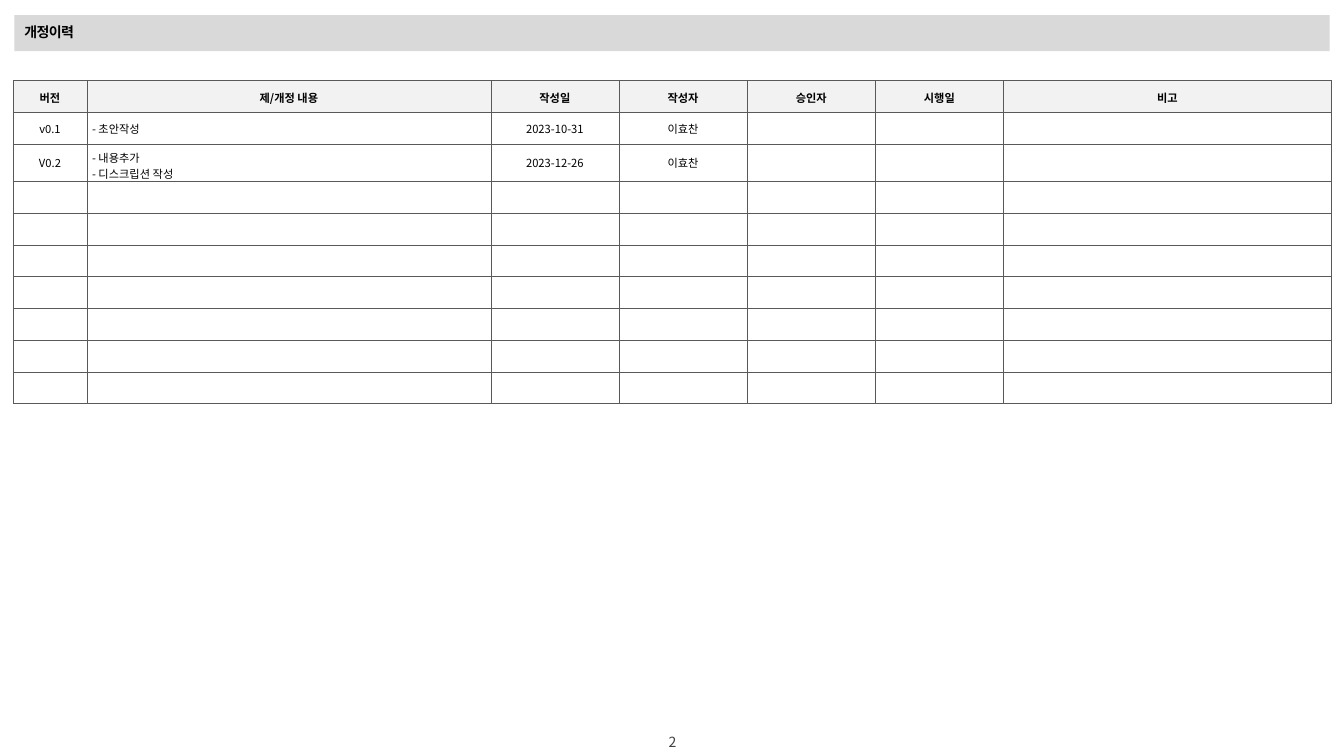
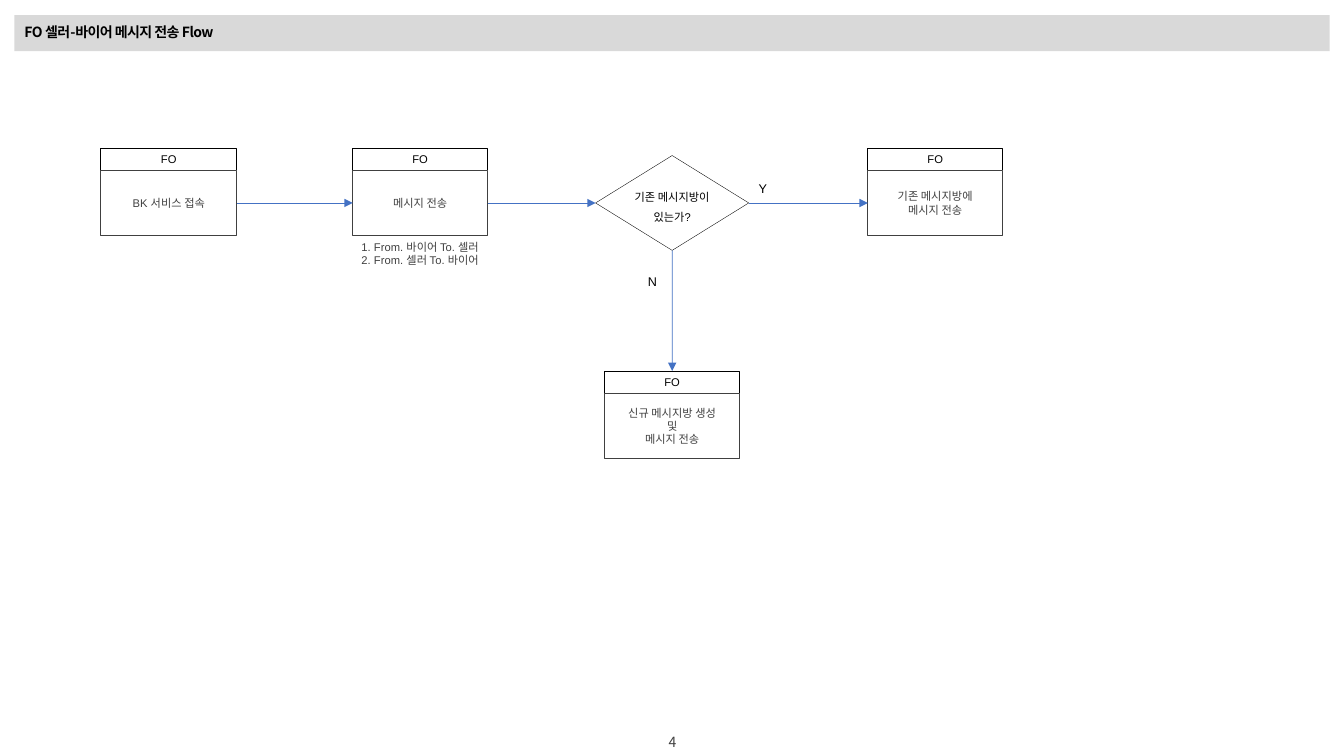
from lxml.etree import SubElement
from pptx import Presentation
from pptx.dml.color import RGBColor
from pptx.enum.dml import MSO_LINE
from pptx.enum.shapes import MSO_CONNECTOR, MSO_SHAPE
from pptx.enum.text import MSO_ANCHOR, MSO_AUTO_SIZE, PP_ALIGN
from pptx.oxml.ns import qn
from pptx.util import Cm, Pt

HUES = {"ink": "000000", "text": "404040", "band": "D9D9D9", "head": "F2F2F2",
        "paper": "FFFFFF", "grid": "595959", "flow": "4472C4"}
NOTO, ARIAL = "Noto Sans CJK KR", "Arial"
MID = {"alignment": PP_ALIGN.CENTER}
FLUSH = dict.fromkeys(("margin_left", "margin_right", "margin_top", "margin_bottom"), 0)
PAD = dict.fromkeys(FLUSH, Cm(0.13))
FIT = {"auto_size": MSO_AUTO_SIZE.SHAPE_TO_FIT_TEXT}
LOOSE = {"line_spacing": 1.5}


def style(item, form):
    """Set each attribute of the item from the format dict."""
    for name, value in form.items():
        setattr(item, name, value)


def hue(name):
    """Return the named colour."""
    return RGBColor.from_string(HUES[name])


def paint(shape, fill=None, line=None, width=0.5):
    """Fill and outline a shape without a shadow."""
    shape.shadow.inherit = False
    if fill:
        shape.fill.solid()
        shape.fill.fore_color.rgb = hue(fill)
    else:
        shape.fill.background()
    if line:
        shape.line.color.rgb = hue(line)
        shape.line.width = Pt(width)
    else:
        shape.line.fill.background()


def write(frame, text, size, face, ink="ink", para=None, bold=False, track=None):
    """Write one formatted paragraph for each line of text."""
    for i, words in enumerate(text.split("\n")):
        part = frame.paragraphs[0] if i == 0 else frame.add_paragraph()
        style(part, para or {})
        if not words:
            SubElement(part._p, qn("a:endParaRPr"), sz=str(size * 100))
            continue
        run = part.add_run()
        run.text = words
        style(run.font, {"size": Pt(size), "name": face, "bold": bold})
        run.font.color.rgb = hue(ink)
        props = run._r.get_or_add_rPr()
        SubElement(props, qn("a:ea"), typeface=NOTO)
        if track:
            props.set("spc", str(track))


def place(box):
    """Turn a box in centimetres into lengths."""
    return [Cm(n) for n in box]


def note(slide, box, text, size, face=ARIAL, ink="ink", para=None, form=None):
    """Add a text box."""
    frame = slide.shapes.add_textbox(*place(box)).text_frame
    style(frame, {"word_wrap": False, **FIT, **(form or {})})
    write(frame, text, size, face, ink, para)


def page(deck, title, number):
    """Add a slide with its title band and page number."""
    slide = deck.slides.add_slide(deck.slide_layouts[5])
    band = slide.shapes.title
    style(band, dict(zip(("left", "top", "width", "height"), place((0.36, 0.38, 33.15, 0.91)))))
    band.fill.solid()
    band.fill.fore_color.rgb = hue("band")
    style(band.text_frame, {"vertical_anchor": MSO_ANCHOR.MIDDLE, "word_wrap": True,
                            "auto_size": MSO_AUTO_SIZE.NONE})
    write(band.text_frame, title, 10, NOTO, bold=True, track=-40,
          para={"alignment": PP_ALIGN.LEFT, "line_spacing": 0.9})
    note(slide, (16.46, 18.36, 0.97, 0.69), number, 10, NOTO, "text", MID,
         {"vertical_anchor": MSO_ANCHOR.MIDDLE})
    return slide


def edge(cell):
    """Draw thin lines on the four sides of a cell."""
    props = cell._tc.get_or_add_tcPr()
    for side in ("lnL", "lnR", "lnT", "lnB"):
        line = SubElement(props, qn(f"a:{side}"), w=str(Pt(0.25)))
        fill = SubElement(line, qn("a:solidFill"))
        SubElement(fill, qn("a:srgbClr"), val=HUES["grid"])


def log(slide, left, top, cols, tall, rows):
    """Add the revision table."""
    box = (left, top, sum(cols), tall * len(rows))
    table = slide.shapes.add_table(len(rows), len(cols), *place(box)).table
    style(table, {"first_row": False, "horz_banding": False})
    for col, wide in zip(table.columns, cols):
        col.width = Cm(wide)
    for r, row in enumerate(rows):
        table.rows[r].height = Cm(tall)
        for c, text in enumerate(row):
            cell = table.cell(r, c)
            edge(cell)
            cell.fill.solid()
            cell.fill.fore_color.rgb = hue("paper" if r else "head")
            style(cell, {"vertical_anchor": MSO_ANCHOR.MIDDLE, **PAD})
            para = {} if r and c == 1 else dict(MID)
            if r == 0:
                para.update(line_spacing=1.1, space_before=Pt(1.6))
            write(cell.text_frame, text, 8, NOTO, para=para, bold=r == 0)


def step(slide, left, top, text, wide=3.4):
    """Add a process box under its head and return both."""
    parts = []
    for kind, y, tall, words, ink in (
            (MSO_SHAPE.RECTANGLE, top, 0.56, "FO", "ink"),
            (MSO_SHAPE.FLOWCHART_PROCESS, top + 0.56, 1.65, text, "text")):
        shape = slide.shapes.add_shape(kind, *place((left, y, wide, tall)))
        paint(shape, "paper", ink)
        style(shape.text_frame, {"word_wrap": False, **FLUSH,
                                 "vertical_anchor": MSO_ANCHOR.MIDDLE})
        write(shape.text_frame, words, 8, ARIAL, ink, MID)
        parts.append(shape)
    return parts


def choice(slide, left, top, wide, tall, text):
    """Add a decision diamond with its question."""
    shape = slide.shapes.add_shape(MSO_SHAPE.FLOWCHART_DECISION,
                                   *place((left, top, wide, tall)))
    paint(shape, line="ink", width=0.25)
    box = (left + 0.57, top + 0.58, wide - 1.14, tall - 1.17)
    note(slide, box, text, 8, para={**MID, **LOOSE})
    return shape


def arrow(slide, start, out, end, into):
    """Join two shapes with an arrow."""
    line = slide.shapes.add_connector(MSO_CONNECTOR.STRAIGHT, 0, 0, 0, 0)
    line.begin_connect(start, out)
    line.end_connect(end, into)
    line.line.color.rgb = hue("flow")
    style(line.line, {"width": Pt(0.5), "dash_style": MSO_LINE.SOLID})
    SubElement(line.line._get_or_add_ln(), qn("a:tailEnd"), type="triangle")
    SubElement(line._element.spPr, qn("a:effectLst"))


def flow(slide, left, top):
    """Lay out the message flow from its top left corner."""
    _, login = step(slide, left, top, "BK 서비스 접속", 3.43)
    _, send = step(slide, left + 6.35, top, "메시지 전송")
    _, old = step(slide, left + 19.33, top, "기존 메시지방에\n메시지 전송")
    new, _ = step(slide, left + 12.7, top + 5.62, "신규 메시지방 생성\n및\n메시지 전송")
    ask = choice(slide, left + 12.47, top + 0.19, 3.86, 2.39, "기존 메시지방이\n있는가?")
    up, west, down, east = range(4)
    for link in ((login, east, send, west), (send, east, ask, west),
                 (ask, east, old, west), (ask, down, new, up)):
        arrow(slide, *link)
    for text, x, y in (("Y", 16.33, 0.51), ("N", 13.54, 2.85)):
        note(slide, (left + x, top + y, 0.74, 0.76), text, 9, para=LOOSE)
    note(slide, (left + 6.32, top + 2.19, 3.68, 0.94),
         "1. From. 바이어 To. 셀러\n2. From. 셀러 To. 바이어", 8, ink="text",
         form={"word_wrap": True})


ROWS = [
    ["버전", "제/개정 내용", "작성일", "작성자", "승인자", "시행일", "비고"],
    ["v0.1", "- 초안작성", "2023-10-31", "이효찬", "", "", ""],
    ["V0.2", "- 내용추가\n- 디스크립션 작성", "2023-12-26", "이효찬", "", "", ""],
] + [[""] * 7] * 7

deck = Presentation()
style(deck, {"slide_width": Cm(33.87), "slide_height": Cm(19.05)})
log(page(deck, "개정이력", "2"), 0.33, 2.03, [1.86, 10.18] + [3.23] * 4 + [8.26], 0.8, ROWS)
flow(page(deck, "FO 셀러-바이어 메시지 전송 Flow", "4"), 2.54, 3.73)
deck.save("out.pptx")
